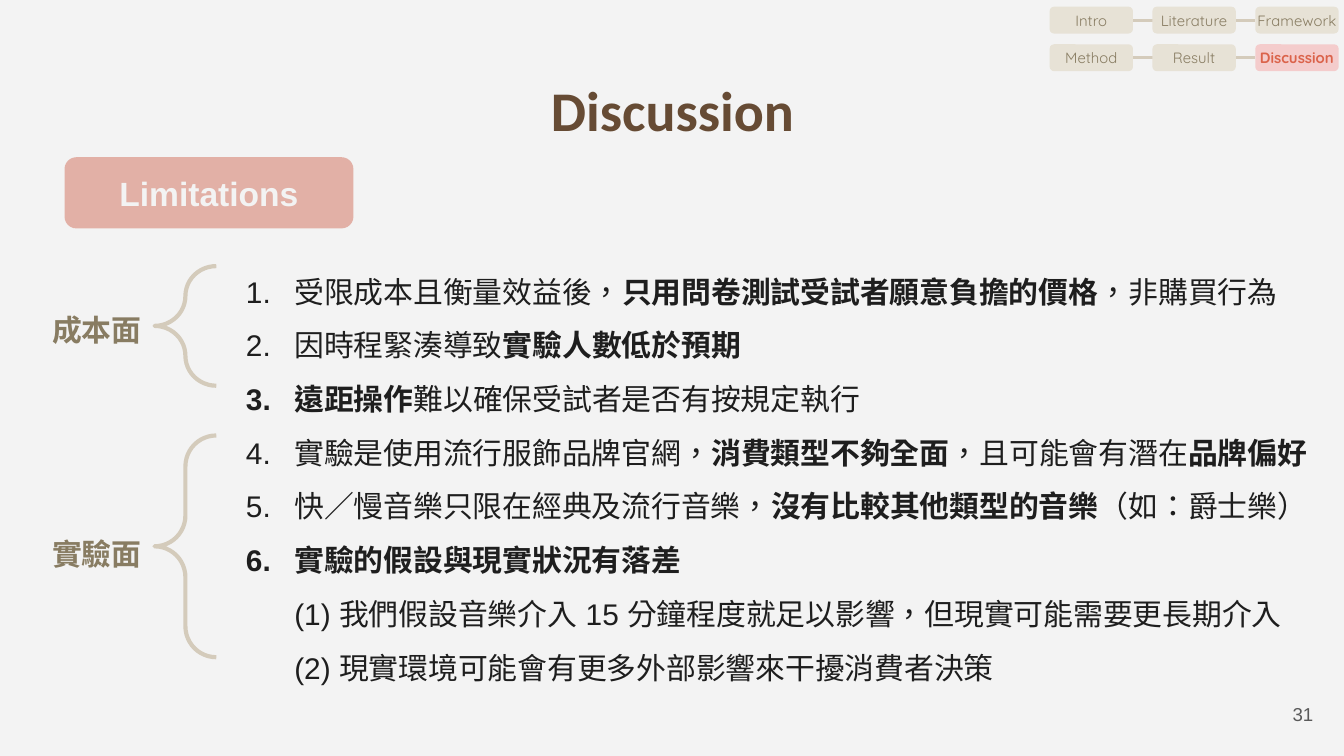
from lxml import etree
from pptx import Presentation
from pptx.dml.color import RGBColor
from pptx.enum.lang import MSO_LANGUAGE_ID as Language
from pptx.enum.shapes import MSO_CONNECTOR as Connector, MSO_SHAPE as Shape
from pptx.enum.text import MSO_ANCHOR as Anchor, MSO_AUTO_SIZE as AutoSize, PP_ALIGN as Align
from pptx.oxml.ns import qn
from pptx.util import Inches, Pt

COLORS = {
    "background": "F3F3F3", "title": "664B34", "text": "1E1E1E", "number": "595959",
    "olive": "887C62", "line": "D4CBBB", "step": "E7E2D6",
    "active_step": "F4CCCC", "active_text": "DB634B", "badge": "E2B0A6",
}
STEPS = [["Intro", "Literature", "Framework"], ["Method", "Result", "Discussion"]]
LIMITATIONS = [
    [("受限成本且衡量效益後，", False), ("只用問卷測試受試者願意負擔的價格", True), ("，非購買行為", False)],
    [("因時程緊湊導致", False), ("實驗人數低於預期", True)],
    [("遠距操作", True), ("難以確保受試者是否有按規定執行", False)],
    [("實驗是使用流行服飾品牌官網，", False), ("消費類型不夠全面", True),
     ("，且可能會有潛在", False), ("品牌偏好", True)],
    [("快／慢音樂只限在經典及流行音樂，", False), ("沒有比較其他類型的音樂", True), ("（如：爵士樂）", False)],
    [("實驗的假設與現實狀況有落差\n", True),
     ("(1) 我們假設音樂介入 15 分鐘程度就足以影響，但現實可能需要更長期介入\n"
      "(2) 現實環境可能會有更多外部影響來干擾消費者決策", False)],
]


def color(name):
    """Return the named palette colour."""
    return RGBColor.from_string(COLORS[name])


def place(shape, box):
    """Move a shape to a box of left, top, width and height in inches."""
    shape.left, shape.top, shape.width, shape.height = map(Inches, box)


def set_frame(shape, inset=0.1, anchor=Anchor.MIDDLE):
    """Set the insets, wrap and anchor of a shape's text."""
    frame = shape.text_frame
    frame.margin_left = frame.margin_right = Inches(inset)
    frame.margin_top = frame.margin_bottom = Inches(inset)
    frame.word_wrap = True
    frame.auto_size = AutoSize.NONE
    frame.vertical_anchor = anchor
    return frame


def add_run(paragraph, text, size, tint, bold=False, font="Arial"):
    """Append formatted text, turning newlines into line breaks."""
    for index, line in enumerate(text.split("\n")):
        if index:
            paragraph.add_line_break()
        if not line:
            continue
        run = paragraph.add_run()
        run.text = line
        run.font.size, run.font.bold, run.font.name = Pt(size), bold, font
        run.font.color.rgb = color(tint)
        if not line.isascii():
            run.font.language_id = Language.TRADITIONAL_CHINESE
            etree.SubElement(run.font._element, qn("a:ea"), typeface=font)


def write_line(shape, text, size, tint, bold=False, font="Arial", align=Align.CENTER, inset=0.1):
    """Write one aligned paragraph in a shape and return it."""
    paragraph = set_frame(shape, inset).paragraphs[0]
    paragraph.alignment = align
    add_run(paragraph, text, size, tint, bold, font)
    return paragraph


def add_box(shapes, box, fill):
    """Add a borderless rounded rectangle."""
    shape = shapes.add_shape(Shape.ROUNDED_RECTANGLE, *map(Inches, box))
    shape.shadow.inherit = False
    shape.fill.solid()
    shape.fill.fore_color.rgb = color(fill)
    shape.line.fill.background()
    return shape


def add_navigation(slide, box):
    """Add the step tracker, with one line behind each row of steps."""
    left, top, width, height = box
    step_width, step_height = 0.62, 0.2
    column_gap = (width - step_width) / 2
    row_gap = height - step_height
    shapes = slide.shapes.add_group_shape().shapes
    for row, names in enumerate(STEPS):
        step_top = top + row * row_gap
        middle = Inches(step_top + step_height / 2)
        connector = shapes.add_connector(
            Connector.STRAIGHT, Inches(left + step_width), middle,
            Inches(left + 2 * column_gap), middle)
        connector.line.color.rgb = color("line")
        connector.line.width = Pt(1.5)
        etree.SubElement(connector._element.spPr, qn("a:effectLst"))
        steps = []
        for column, name in enumerate(names):
            active = name == "Discussion"
            step = add_box(shapes, (left + column * column_gap, step_top, step_width, step_height),
                           "active_step" if active else "step")
            write_line(step, name, 8, "active_text" if active else "olive",
                       active, "Quicksand", inset=0)
            steps.append(step)
        connector.begin_connect(steps[0], 3)
        connector.end_connect(steps[-1], 1)


def add_limitations(placeholder, box):
    """Fill the body placeholder with the numbered limitations."""
    place(placeholder, box)
    frame = set_frame(placeholder, anchor=Anchor.TOP)
    for index, parts in enumerate(LIMITATIONS):
        paragraph = frame.add_paragraph() if index else frame.paragraphs[0]
        paragraph.line_spacing = 1.5
        paragraph.space_before = Pt(0)
        properties = paragraph._p.get_or_add_pPr()
        properties.set("marL", str(Inches(0.5)))
        properties.set("indent", str(Inches(-0.36)))
        bullet_color = etree.SubElement(properties, qn("a:buClr"))
        etree.SubElement(bullet_color, qn("a:srgbClr"), val=COLORS["text"])
        etree.SubElement(properties, qn("a:buAutoNum"), type="arabicPeriod")
        for text, bold in parts:
            add_run(paragraph, text, 16, "text", bold)


def add_aspect(slide, name, box, label_top):
    """Add a brace on the right of the box and its label on the left."""
    left, top, width, height = box
    brace_width = 0.46
    brace = slide.shapes.add_shape(
        Shape.LEFT_BRACE, Inches(left + width - brace_width), Inches(top),
        Inches(brace_width), Inches(height))
    brace.adjustments[0] = brace.adjustments[1] = 0.5
    brace.shadow.inherit = False
    brace.fill.background()
    brace.line.color.rgb = color("line")
    brace.line.width = Pt(2.25)
    label = slide.shapes.add_textbox(*map(Inches, (left, top + label_top, 1.02, 0.47)))
    write_line(label, name, 16, "olive", True).line_spacing = 1.5


def build_slide(presentation):
    """Build the discussion slide."""
    slide = presentation.slides.add_slide(presentation.slide_layouts[1])
    slide.background.fill.solid()
    slide.background.fill.fore_color.rgb = color("background")
    title, body = slide.placeholders
    place(title, (0.79, 0.45, 8.43, 0.72))
    write_line(title, "Discussion", 30, "title", True, "Calibri")
    add_limitations(body, (1.59, 1.8, 8.37, 3.3))
    number = slide.shapes.add_textbox(*map(Inches, (9.27, 5.1, 0.6, 0.43)))
    write_line(number, "31", 10, "number", align=Align.RIGHT)
    add_navigation(slide, (7.81, 0.05, 2.15, 0.48))
    add_aspect(slide, "成本面", (0.21, 1.98, 1.4, 0.89), 0.17)
    add_aspect(slide, "實驗面", (0.21, 3.24, 1.4, 1.65), 0.58)
    badge = add_box(slide.shapes, (0.48, 1.17, 2.15, 0.53), "badge")
    write_line(badge, "Limitations", 18, "background", True)


def main():
    """Create and save the presentation."""
    presentation = Presentation()
    presentation.slide_width = Inches(10)
    presentation.slide_height = Inches(10) * 9 // 16
    build_slide(presentation)
    presentation.save("out.pptx")


if __name__ == "__main__":
    main()
